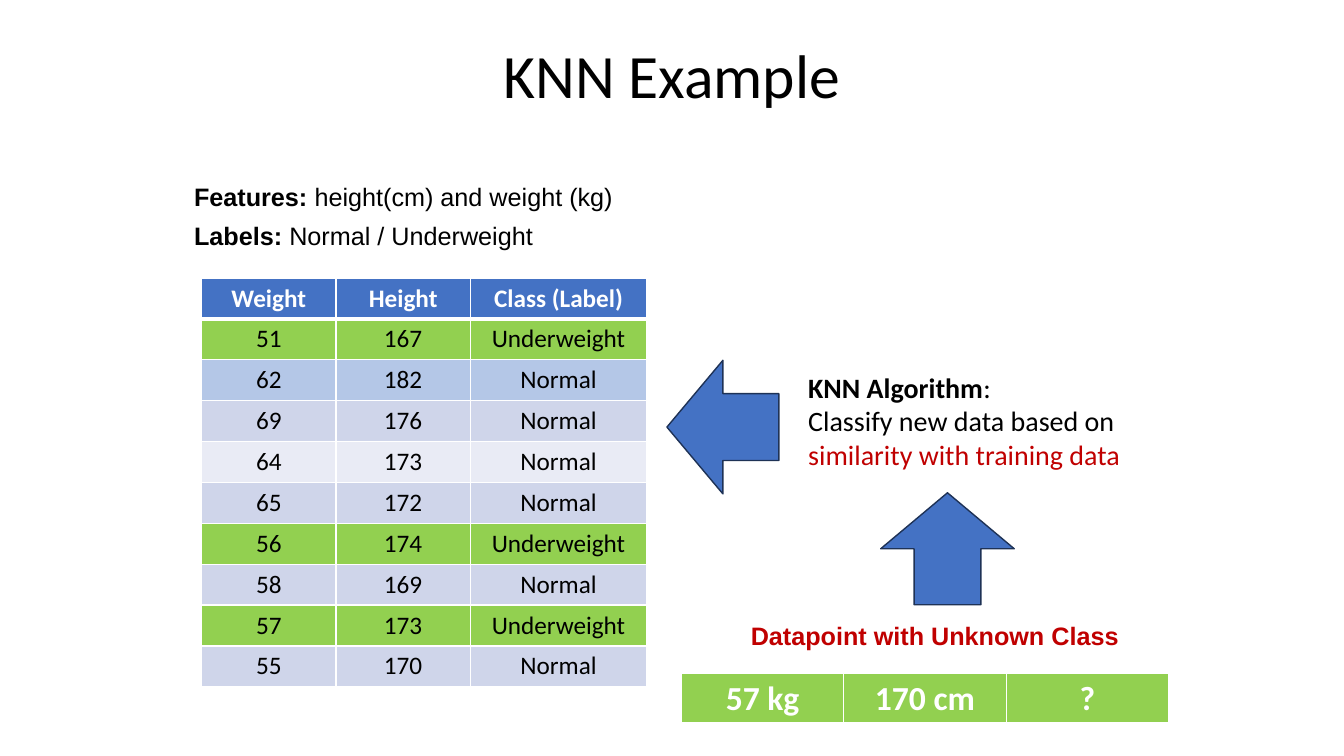
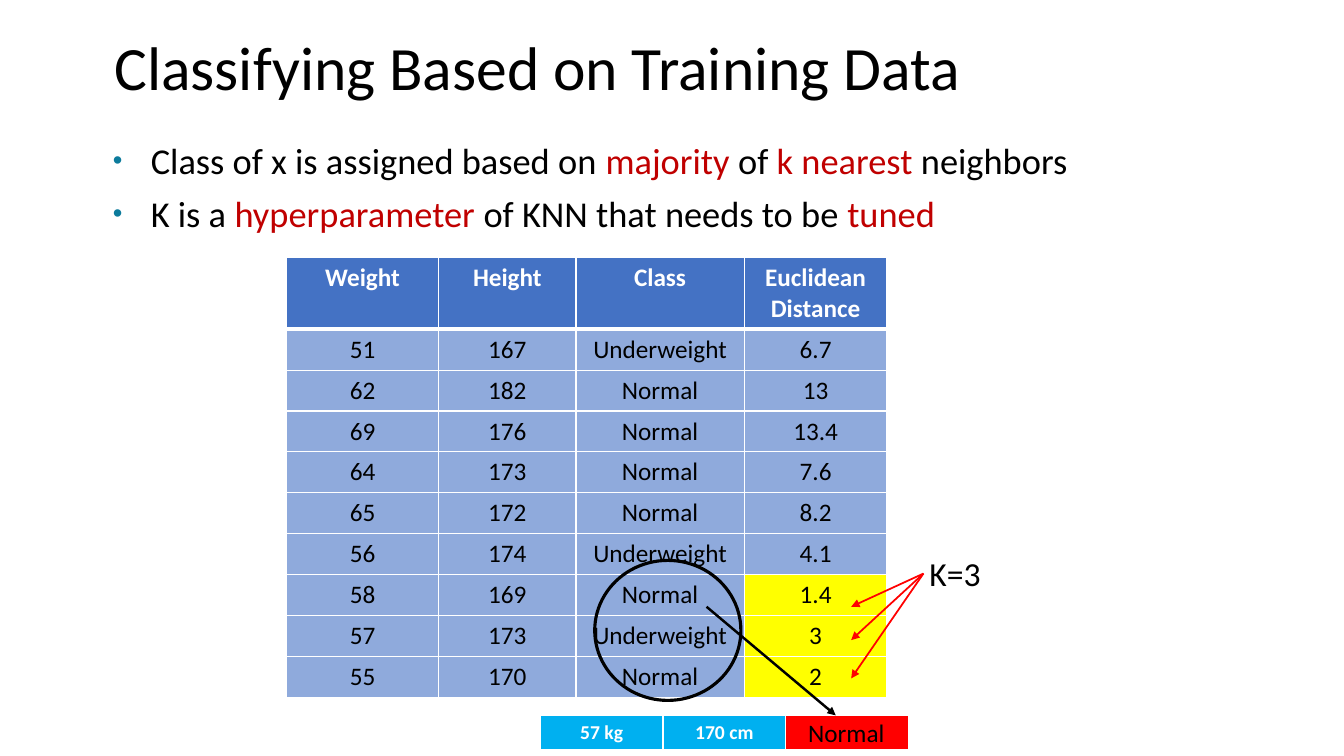
import math

import lxml.etree
import pptx
import pptx.dml.color
import pptx.enum.shapes
import pptx.enum.text
import pptx.oxml.ns
import pptx.util

Pt = pptx.util.Pt
RGB = pptx.dml.color.RGBColor
SHAPE = pptx.enum.shapes.MSO_SHAPE
ALIGN = pptx.enum.text.PP_ALIGN
qn = pptx.oxml.ns.qn

BLACK = RGB(0x00, 0x00, 0x00)
WHITE = RGB(0xFF, 0xFF, 0xFF)
BLUE = RGB(0x44, 0x72, 0xC4)
NAVY = RGB(0x1E, 0x32, 0x56)
STEEL = RGB(0x8F, 0xAA, 0xDC)
LIGHT_BLUE = RGB(0xB4, 0xC7, 0xE7)
BAND_ODD = RGB(0xCF, 0xD5, 0xEA)
BAND_EVEN = RGB(0xE9, 0xEB, 0xF5)
GREEN = RGB(0x92, 0xD0, 0x50)
YELLOW = RGB(0xFF, 0xFF, 0x00)
CYAN = RGB(0x00, 0xB0, 0xF0)
RED = RGB(0xFF, 0x00, 0x00)
DARK_RED = RGB(0xC0, 0x00, 0x00)
TEAL = RGB(0x0C, 0x7B, 0x9C)

ROW_H = 29.2
QUERY = (57, 170)
K = 3
PEOPLE = [
    (51, 167, "Underweight"),
    (62, 182, "Normal"),
    (69, 176, "Normal"),
    (64, 173, "Normal"),
    (65, 172, "Normal"),
    (56, 174, "Underweight"),
    (58, 169, "Normal"),
    (57, 173, "Underweight"),
    (55, 170, "Normal"),
]


class Deck:
    """Holds the presentation, its style and the slide being built."""

    def __init__(self):
        self.prs = pptx.Presentation()
        self.prs.slide_width, self.prs.slide_height = Pt(960), Pt(540)
        self.s = None

    def font(self, r, size, color=BLACK, bold=False, name="Calibri"):
        r.font.name, r.font.size, r.font.bold = name, Pt(size), bold
        r.font.color.rgb = color

    def place(self, sp, x, y, w, h):
        sp.left, sp.top, sp.width, sp.height = Pt(x), Pt(y), Pt(w), Pt(h)

    def sub(self, parent, tag, **attrs):
        return lxml.etree.SubElement(parent, qn(tag), attrs)

    def slide(self, title, x, y, align):
        self.s = self.prs.slides.add_slide(self.prs.slide_layouts[1])
        sp = self.s.shapes.title
        self.place(sp, x, y, 720, 58)
        tf = sp.text_frame
        tf.text = title
        tf.auto_size = pptx.enum.text.MSO_AUTO_SIZE.NONE
        tf.paragraphs[0].alignment = align
        self.font(tf.paragraphs[0].runs[0], 44)

    def fill_text(self, tf, lines, size, name="Calibri"):
        tf.word_wrap = True
        tf.auto_size = pptx.enum.text.MSO_AUTO_SIZE.NONE
        for i, line in enumerate(lines):
            p = tf.paragraphs[0] if i == 0 else tf.add_paragraph()
            for text, color, bold in line:
                r = p.add_run()
                r.text = text
                self.font(r, size, color, bold, name)

    def body(self, x, y, w, h, lines, size, name="Calibri", bullet=False,
             before=0, after=0, spacing=1.0):
        sp = self.s.placeholders[1]
        self.place(sp, x, y, w, h)
        self.fill_text(sp.text_frame, lines, size, name)
        indent = Pt(27) if bullet else 0
        for i, p in enumerate(sp.text_frame.paragraphs):
            pPr = p._p.get_or_add_pPr()
            pPr.set("marL", str(indent))
            pPr.set("indent", str(-indent))
            if bullet:
                self.sub(self.sub(pPr, "a:buClr"), "a:srgbClr", val=str(TEAL))
                self.sub(pPr, "a:buSzPct", val="75000")
                self.sub(pPr, "a:buFont", typeface="Arial")
                self.sub(pPr, "a:buChar", char="•")
            else:
                self.sub(pPr, "a:buNone")
            p.space_before = Pt(before if i else 0)
            p.space_after = Pt(after)
            p.line_spacing = spacing

    def text(self, x, y, w, h, lines, size, name="Calibri"):
        sp = self.s.shapes.add_textbox(Pt(x), Pt(y), Pt(w), Pt(h))
        self.fill_text(sp.text_frame, lines, size, name)
        return sp

    def shape(self, kind, x, y, w, h, line, width, fill=None):
        sp = self.s.shapes.add_shape(kind, Pt(x), Pt(y), Pt(w), Pt(h))
        sp.shadow.inherit = False
        if fill is None:
            sp.fill.background()
        else:
            sp.fill.solid()
            sp.fill.fore_color.rgb = fill
        sp.line.color.rgb, sp.line.width = line, Pt(width)

    def arrow(self, start, end, color, width, source=None):
        cx = self.s.shapes.add_connector(
            pptx.enum.shapes.MSO_CONNECTOR.STRAIGHT, *map(Pt, start + end))
        if source is not None:
            cx.begin_connect(source, 1)
        cx.line.color.rgb, cx.line.width = color, Pt(width)
        self.sub(cx.line._get_or_add_ln(), "a:tailEnd", type="triangle")
        self.sub(cx._element.spPr, "a:effectLst")

    def cell(self, cell, value, fill, size, color, bold, edges):
        tcPr = cell._tc.get_or_add_tcPr()
        for edge, width in edges.items():
            ln = self.sub(tcPr, "a:ln" + edge, w=str(Pt(width)))
            self.sub(self.sub(ln, "a:solidFill"), "a:srgbClr", val=str(WHITE))
        cell.fill.solid()
        cell.fill.fore_color.rgb = fill
        cell.text_frame.text = str(value)
        p = cell.text_frame.paragraphs[0]
        p.alignment = ALIGN.CENTER
        for r in p.runs:
            self.font(r, size, color, bold)
        if not p.runs:
            self.sub(p._p, "a:endParaRPr", sz=str(size * 100))

    def table(self, x, y, widths, heights, rows, fills, size=18):
        t = self.s.shapes.add_table(
            len(rows), len(widths), Pt(x), Pt(y),
            Pt(sum(widths)), Pt(sum(heights))).table
        t.horz_banding = False
        for col, w in zip(t.columns, widths):
            col.width = Pt(w)
        for i, (values, h) in enumerate(zip(rows, heights)):
            t.rows[i].height = Pt(h)
            head = i == 0
            edges = {"L": 1, "R": 1, "T": 3 if i == 1 else 1,
                     "B": 3 if head else 1}
            for j, value in enumerate(values):
                self.cell(t.cell(i, j), value, fills[i][j], size,
                          WHITE if head else BLACK, head, edges)


def example_slide(d):
    d.slide("KNN Example", 120, 23.4, ALIGN.CENTER)
    d.body(131.4, 128, 661, 58, [
        [("Features: ", BLACK, True),
         ("height(cm) and weight (kg)", BLACK, False)],
        [("Labels: ", BLACK, True), ("Normal / Underweight", BLACK, False)],
    ], 18, "Arial", before=9, spacing=0.9)

    fills = [[BLUE] * 3]
    for i, (_, _, label) in enumerate(PEOPLE, 1):
        band = BAND_ODD if i % 2 else BAND_EVEN
        if label == "Underweight":
            band = GREEN
        elif i == 2:
            band = LIGHT_BLUE
        fills.append([band] * 3)
    d.table(144, 198.6, [96, 96, 126], [ROW_H] * 10,
            [("Weight", "Height", "Class (Label)")] + PEOPLE, fills)
    d.table(486.7, 480.8, [116] * 3, [36], [("57 kg", "170 cm", "?")],
            [[GREEN] * 3], 24)

    d.text(529.2, 439.2, 379, 29,
           [[("Datapoint with Unknown Class", DARK_RED, True)]], 18, "Arial")
    d.text(570.2, 260.8, 260, 80, [
        [("KNN Algorithm", BLACK, True), (":", BLACK, False)],
        [("Classify new data based on ", BLACK, False),
         ("similarity with training data", DARK_RED, False)],
    ], 20)
    d.shape(SHAPE.UP_ARROW, 629.1, 352, 95.4, 80, NAVY, 1, BLUE)
    d.shape(SHAPE.LEFT_ARROW, 476.4, 257.4, 80, 95.4, NAVY, 1, BLUE)


def classifying_slide(d):
    d.slide("Classifying Based on Training Data", 74.5, 18.4, ALIGN.LEFT)
    d.body(73.5, 95, 863, 86, [
        [("Class of x is assigned based on ", BLACK, False),
         ("majority", DARK_RED, False), (" of ", BLACK, False),
         ("k nearest ", DARK_RED, False), ("neighbors", BLACK, False)],
        [("K is a ", BLACK, False), ("hyperparameter", DARK_RED, False),
         (" of KNN that needs to be ", BLACK, False),
         ("tuned", DARK_RED, False)],
    ], 26, bullet=True, before=2.6, after=4)

    dists = [math.dist(person[:2], QUERY) for person in PEOPLE]
    limit = sorted(dists)[K - 1]
    rows = [("Weight", "Height", "Class", "Euclidean Distance")]
    fills = [[BLUE] * 4]
    for person, dist in zip(PEOPLE, dists):
        rows.append(person + (f"{round(dist, 1):g}",))
        fills.append([STEEL] * 3 + [YELLOW if dist <= limit else STEEL])
    d.table(204.6, 184, [108.8, 98, 120.2, 102], [51] + [ROW_H] * 9,
            rows, fills)

    d.table(386, 511, [87.6] * 3, [25], [("57 kg", "170 cm", "")],
            [[CYAN, CYAN, RED]], 14)
    d.text(570.2, 509, 70, 29, [[("Normal", BLACK, False)]], 18)

    k_box = d.text(659.6, 391.7, 60, 36, [[("K=3", BLACK, False)]], 24)
    k_box.text_frame.margin_left = Pt(4.3)
    for y in (433.4, 457.2, 484.6):
        d.arrow((659.6, 409.7), (608, y), RED, 1.25, k_box)
    d.shape(SHAPE.OVAL, 424.8, 400.3, 104.4, 100, BLACK, 2.25)
    d.arrow((504.7, 433.4), (597, 511), BLACK, 1.75)


def main():
    d = Deck()
    example_slide(d)
    classifying_slide(d)
    d.prs.save("out.pptx")


if __name__ == "__main__":
    main()
